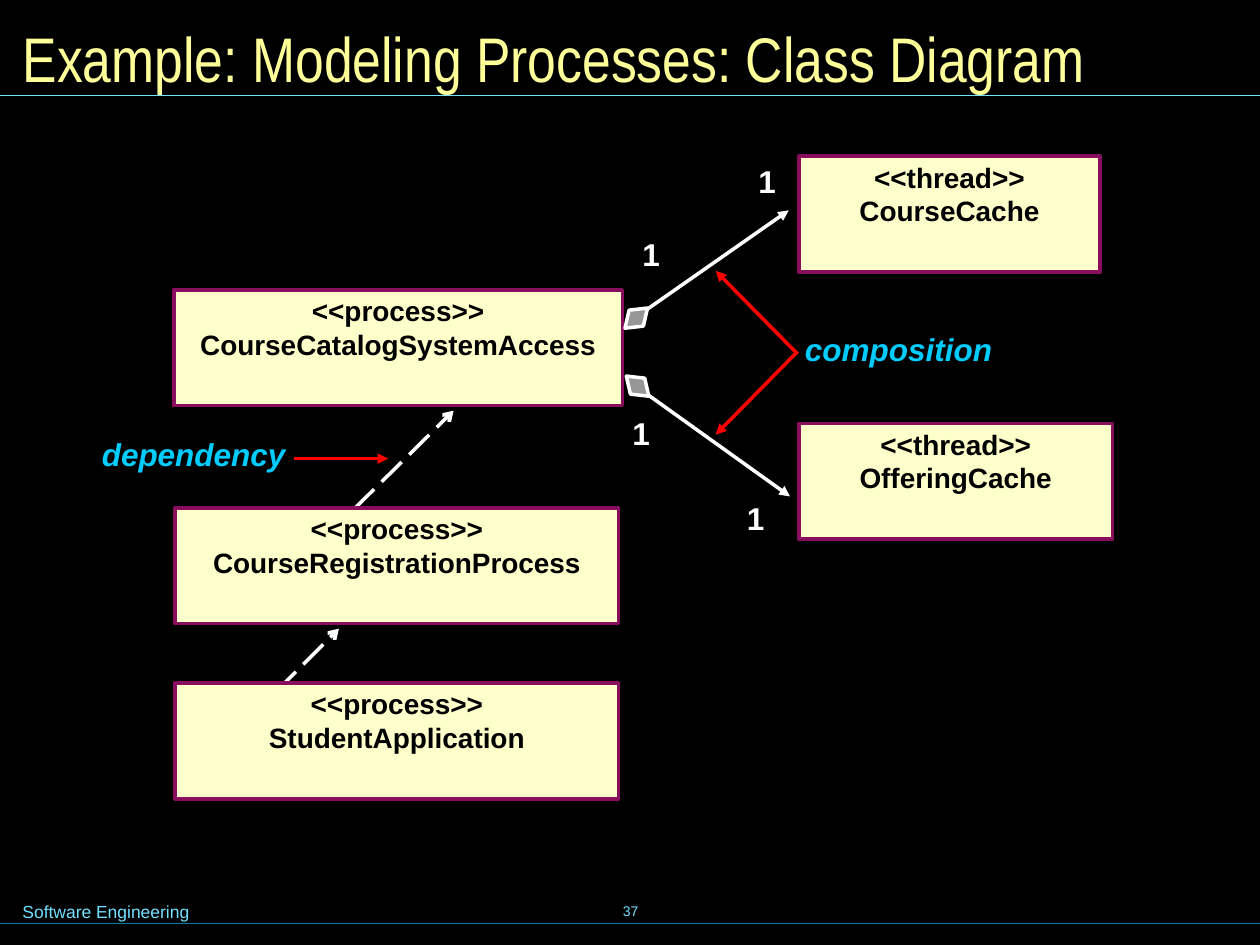
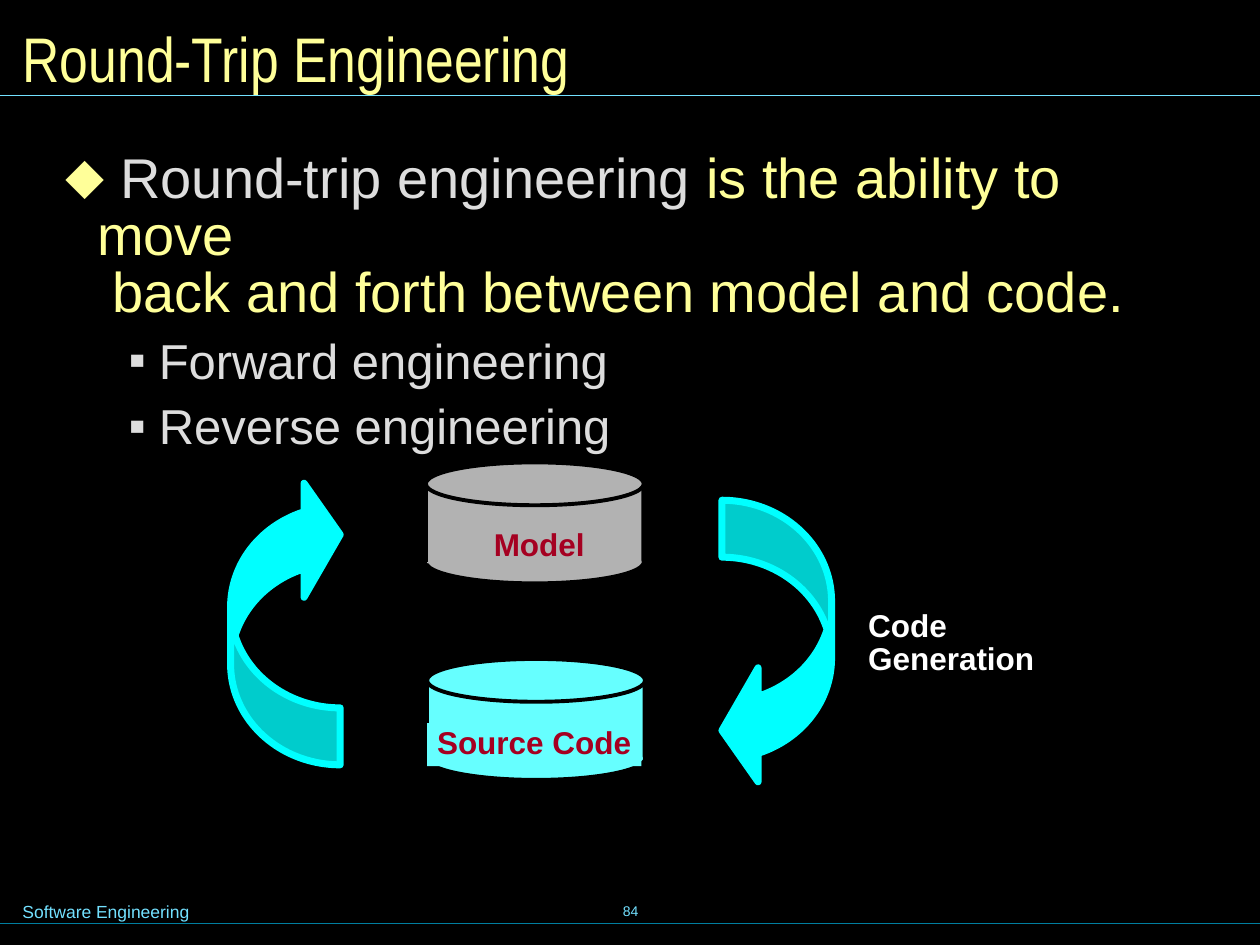
from dataclasses import dataclass

import lxml.etree
import pptx
import pptx.dml.color
import pptx.enum.dml
import pptx.enum.shapes
import pptx.enum.text
import pptx.oxml
import pptx.oxml.ns
import pptx.util

COLORS = {
    "black": "000000", "white": "FFFFFF", "title": "FFFF99", "text": "DDDDDD",
    "rule": "73E1FF", "footer_rule": "007E9F", "class_fill": "FFFFCC",
    "class_line": "8A0E5E", "note": "00CCFF", "pointer": "FF0000",
    "diamond": "969696", "model": "B2B2B2", "code": "66FFFF",
    "store_label": "A50021", "arrow": "00FFFF",
}
COLS, ROWS = 100, 75  # grid of the whole slide; one cell is 0.1 inch
CELL = 0.1
SHAPE = pptx.enum.shapes.MSO_SHAPE
ALIGN = pptx.enum.text.PP_ALIGN
ANCHOR = pptx.enum.text.MSO_ANCHOR
TEXT_LEFT, TITLE_WIDTH = 0.8, 98.4


@dataclass
class ClassBox:
    stereotype: str
    name: str
    left: float
    top: float
    width: float


@dataclass
class Line:
    start: tuple[float, float]
    end: tuple[float, float]
    color: str
    head: str | None = "triangle"
    width: float = 2
    dashed: bool = False


@dataclass
class Label:
    text: str
    left: float
    top: float
    width: float
    color: str = "white"
    italic: bool = False


@dataclass
class Store:
    name: str
    left: float
    top: float
    fill: str
    label_filled: bool


@dataclass
class Bullet:
    char: str
    color: str
    margin: float
    hang: float


# Helpers
def cells(n: float) -> int:
    return pptx.util.Inches(n * CELL)


def rgb(name: str) -> pptx.dml.color.RGBColor:
    return pptx.dml.color.RGBColor.from_string(COLORS[name])


def write(tf, lines, *, size, color, font="Arial", bold=False, italic=False,
          align=ALIGN.LEFT, anchor=ANCHOR.TOP, wrap=True, inset=(1, 0.5),
          spacing=None):
    """Fill a text frame; a line is a string or a list of (text, color)."""
    tf.auto_size = pptx.enum.text.MSO_AUTO_SIZE.NONE
    tf.word_wrap = wrap
    tf.vertical_anchor = anchor
    tf.margin_left = tf.margin_right = cells(inset[0])
    tf.margin_top = tf.margin_bottom = cells(inset[1])
    for i, line in enumerate(lines):
        p = tf.add_paragraph() if i else tf.paragraphs[0]
        p.alignment = align
        if spacing:
            p.line_spacing = spacing
        for text, tint in [(line, color)] if isinstance(line, str) else line:
            for j, part in enumerate(text.split("\n")):
                if j:
                    p.add_line_break()
                r = p.add_run()
                r.text = part
                r.font.size = pptx.util.Pt(size)
                r.font.name = font
                r.font.bold, r.font.italic = bold, italic
                r.font.color.rgb = rgb(tint)


def add_text(s, lines, left, top, width, height, **fmt):
    sp = s.shapes.add_textbox(*map(cells, (left, top, width, height)))
    write(sp.text_frame, lines, **fmt)


def add_shape(s, kind, left, top, width, height, fill, line=None, weight=2.0):
    sp = s.shapes.add_shape(kind, *map(cells, (left, top, width, height)))
    sp.shadow.inherit = False
    sp.fill.solid()
    sp.fill.fore_color.rgb = rgb(fill)
    if line:
        sp.line.color.rgb = rgb(line)
        sp.line.width = pptx.util.Pt(weight)
    else:
        sp.line.fill.background()
    return sp


def add_line(s, line: Line) -> None:
    sp = s.shapes.add_connector(pptx.enum.shapes.MSO_CONNECTOR.STRAIGHT,
                                *map(cells, line.start + line.end))
    sp.line.color.rgb = rgb(line.color)
    sp.line.width = pptx.util.Pt(line.width)
    if line.dashed:
        sp.line.dash_style = pptx.enum.dml.MSO_LINE.LONG_DASH
    qn = pptx.oxml.ns.qn
    if line.head:
        lxml.etree.SubElement(sp.line._get_or_add_ln(), qn("a:tailEnd"),
                              type=line.head)
    lxml.etree.SubElement(sp._element.spPr, qn("a:effectLst"))


def set_bullet(p, bullet: Bullet) -> None:
    qn = pptx.oxml.ns.qn
    pPr = p._p.get_or_add_pPr()
    pPr.set("marL", str(cells(bullet.margin)))
    pPr.set("indent", str(-cells(bullet.hang)))
    clr = lxml.etree.SubElement(pPr, qn("a:buClr"))
    lxml.etree.SubElement(clr, qn("a:srgbClr"), val=COLORS[bullet.color])
    lxml.etree.SubElement(pPr, qn("a:buChar"), char=bullet.char)


# Shared slide frame
def set_master(prs) -> None:
    fill = prs.slide_master.background.fill
    fill.solid()
    fill.fore_color.rgb = rgb("black")
    title = prs.slide_master.placeholders[0]
    title.left, title.top, title.width, title.height = map(
        cells, (TEXT_LEFT, 0.8, TITLE_WIDTH, 7.5))


def new_slide(prs, layout: str, title: str, number: str):
    s = prs.slides.add_slide(prs.slide_layouts.get_by_name(layout))
    add_text(s, [number], 34.2, 69.8, 31.7, 5, size=8, color="rule",
             align=ALIGN.CENTER, anchor=ANCHOR.MIDDLE)
    for y, color in ((73.3, "footer_rule"), (7.6, "rule")):
        add_line(s, Line((0, y), (COLS, y), color, None, 0.75))
    add_text(s, ["Software Engineering"], TEXT_LEFT, 71, 29.5, 2.7,
             size=10, color="rule")
    write(s.shapes.title.text_frame, [title], size=36, color="title",
          font="Arial Narrow", anchor=ANCHOR.MIDDLE)
    return s


# Class diagram
BOX_HEIGHT = 9.2
CLASSES = [
    ClassBox("process", "CourseCatalogSystemAccess", 13.8, 23, 35.6),
    ClassBox("thread", "CourseCache", 63.4, 12.4, 23.9),
    ClassBox("process", "CourseRegistrationProcess", 13.9, 40.3, 35.2),
    ClassBox("thread", "OfferingCache", 63.4, 33.6, 24.9),
    ClassBox("process", "StudentApplication", 13.9, 54.2, 35.2),
]
DEPENDENCIES = [
    Line((28.1, 40.4), (36, 32.6), "white", "arrow", dashed=True),
    Line((21.9, 54.9), (26.9, 49.9), "white", "arrow", dashed=True),
]
POINTERS = [
    Line((63.3, 27.9), (56.8, 34.5), "pointer"),
    Line((63.3, 28.1), (56.8, 21.5), "pointer"),
    Line((23.3, 36.4), (30.8, 36.4), "pointer"),
]
COMPOSITIONS = [
    Line((51.1, 31.1), (62.7, 39.4), "white"),
    Line((51, 24.8), (62.6, 16.7), "white"),
]
DIAMONDS = [(49.4, 29.8, 41.8), (49.3, 24.4, -41.8)]
LABELS = [
    Label("composition", 62.9, 25.7, 17.5, "note", True),
    Label("dependency", 7.1, 34, 17.5, "note", True),
] + [Label("1", x, y, 3.3)
     for x, y in ((59.2, 12.4), (50, 18.2), (49.2, 32.4), (58.3, 39.1))]


def draw_class(s, box: ClassBox) -> None:
    sp = add_shape(s, SHAPE.RECTANGLE, box.left, box.top, box.width,
                   BOX_HEIGHT, "class_fill", "class_line")
    write(sp.text_frame, [f"<<{box.stereotype}>>", box.name], size=16,
          color="black", bold=True, align=ALIGN.CENTER, inset=(1, 0.3))


def class_diagram(prs) -> None:
    s = new_slide(prs, "Title Only",
                  "Example: Modeling Processes: Class Diagram", "37")
    for line in DEPENDENCIES:
        add_line(s, line)
    for box in CLASSES:
        draw_class(s, box)
    for line in POINTERS + COMPOSITIONS:
        add_line(s, line)
    for left, top, angle in DIAMONDS:
        sp = add_shape(s, SHAPE.DIAMOND, left, top, 2.4, 1.7, "diamond", "white")
        sp.rotation = angle
    for label in LABELS:
        add_text(s, [label.text], label.left, label.top, label.width, 4,
                 size=18, color=label.color, bold=True, italic=label.italic)


# Round trip between model and code
STORES = [Store("Source Code", 33.9, 52.3, "code", True),
          Store("Model", 33.8, 36.7, "model", False)]
STORE_WIDTH, LID_HEIGHT, STORE_DEPTH = 17.3, 3.4, 6.2
TOP_BULLET = Bullet("⬥", "title", 2.5, 2.5)
SUB_BULLET = Bullet("▪", "text", 7.4, 2.4)
ARROWS = [(57.3, 39.7, 0), (18.3, 37.9, 180)]


def draw_store(s, store: Store) -> None:
    x, y = store.left, store.top
    lid = (STORE_WIDTH, LID_HEIGHT, store.fill, "black", 2.25)
    add_shape(s, SHAPE.OVAL, x, y + STORE_DEPTH, *lid)
    add_shape(s, SHAPE.RECTANGLE, x + 0.1, y + 1.4, 17, 6.6, store.fill)
    add_shape(s, SHAPE.OVAL, x, y, *lid)
    side = y + LID_HEIGHT / 2
    for edge in (x, x + STORE_WIDTH):
        add_line(s, Line((edge, side), (edge, side + STORE_DEPTH), "black",
                         None, 2.25))
    label = dict(size=18, color="store_label", bold=True, align=ALIGN.CENTER,
                 wrap=False, inset=(0.8, 0.4), spacing=0.87)
    if store.label_filled:
        sp = add_shape(s, SHAPE.RECTANGLE, x, y + 5.1, 17, 3.4, store.fill)
        write(sp.text_frame, [store.name], **label)
    else:
        add_text(s, [store.name], x + 4.6, y + 5, 8.8, 3.4, **label)


def round_trip(prs) -> None:
    s = new_slide(prs, "Title and Content", "Round-Trip Engineering", "84")
    body = s.placeholders[1]
    body.left, body.top, body.width, body.height = map(
        cells, (4, 11.5, 92.9, 55.2))
    tf = body.text_frame
    definition = [(" ", "title"), ("Round-trip engineering", "text"),
                  (" is the ability to move \n back and forth between model and code.",
                   "title")]
    write(tf, [definition, "Forward engineering", "Reverse engineering"],
          size=28, color="text", inset=(1.2, 0.6), spacing=0.85)
    first, *subs = tf.paragraphs
    first.space_before = pptx.util.Pt(0)
    set_bullet(first, TOP_BULLET)
    for r in first.runs:
        r.font.size = pptx.util.Pt(32)
    for p in subs:
        p.level = 1
        p.space_before = pptx.util.Pt(8.8)
        set_bullet(p, SUB_BULLET)

    for store in STORES:
        draw_store(s, store)
    for left, top, angle in ARROWS:
        sp = add_shape(s, SHAPE.CURVED_LEFT_ARROW, left, top, 8.7, 22.8,
                       "arrow", "arrow", 4)
        sp.rotation = angle
        for i, share in enumerate((0.52, 1.04, 0.33)):
            sp.adjustments[i] = share
    add_text(s, ["Code", "Generation"], 68.1, 48.1, 14.8, 6, size=18,
             color="white", bold=True, wrap=False, inset=(0.8, 0.4),
             spacing=0.87)


def main() -> None:
    prs = pptx.Presentation()
    prs.slide_width, prs.slide_height = cells(COLS), cells(ROWS)
    set_master(prs)
    class_diagram(prs)
    round_trip(prs)
    prs.save("out.pptx")


if __name__ == "__main__":
    main()
